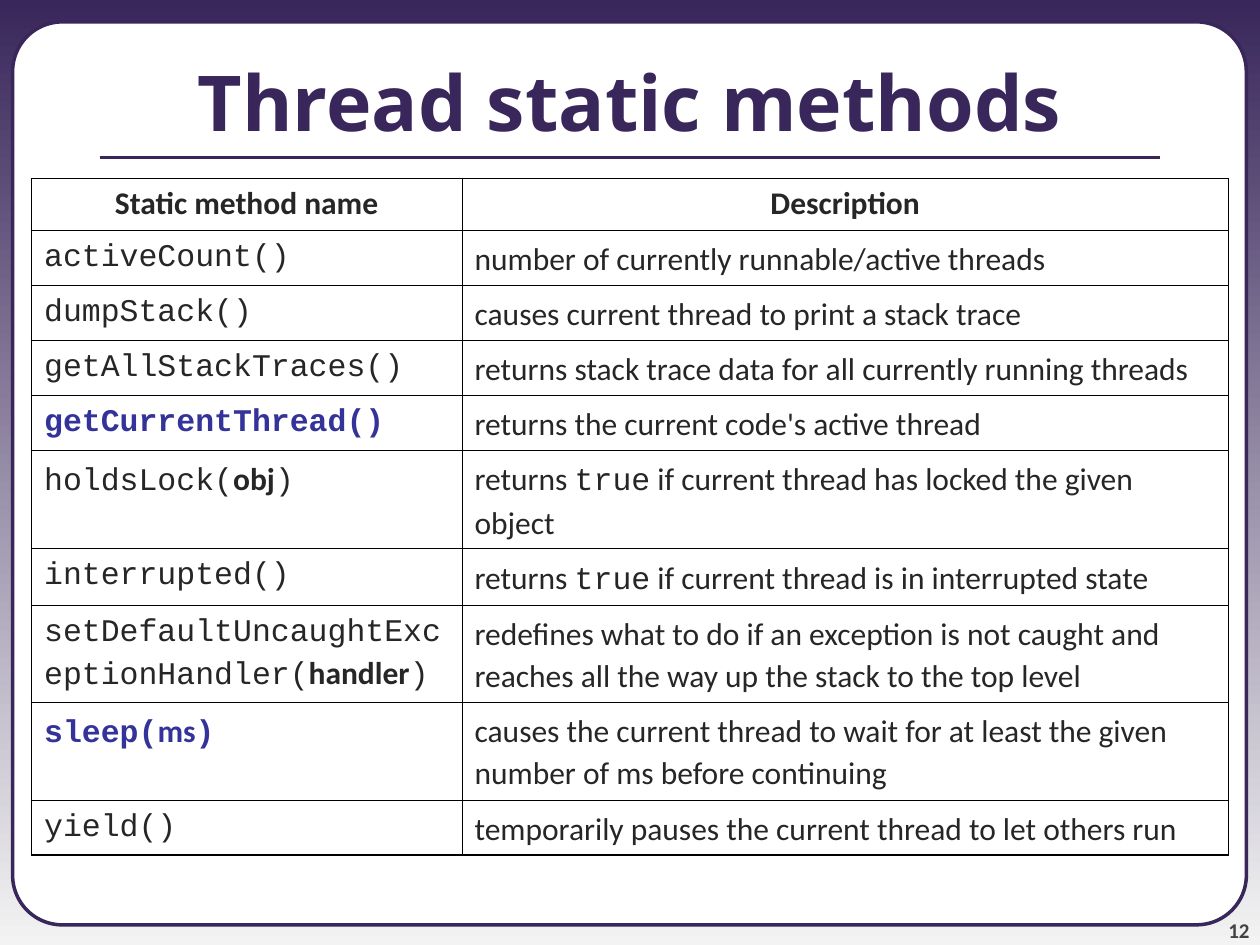
from itertools import cycle

from lxml import etree
from pptx import Presentation
from pptx.dml.color import RGBColor
from pptx.enum import shapes, text
from pptx.oxml.ns import qn
from pptx.util import Pt

TITLE = "Thread static methods"
PAGE_NUMBER = "12"
HEADINGS = ("Static method name", "Description")

# A bar switches between a column's main style and its inline style.
METHODS = [
    ("activeCount()", "number of currently runnable/active threads"),
    ("dumpStack()", "causes current thread to print a stack trace"),
    ("getAllStackTraces()", "returns stack trace data for all currently running threads"),
    ("getCurrentThread()", "returns the current code's active thread"),
    ("holdsLock(|obj|)", "returns |true| if current thread has locked the given object"),
    ("interrupted()", "returns |true| if current thread is in interrupted state"),
    ("setDefaultUncaughtExceptionHandler(|handler|)",
     "redefines what to do if an exception is not caught and "
     "reaches all the way up the stack to the top level"),
    ("sleep(|ms|)",
     "causes the current thread to wait for at least the given "
     "number of ms before continuing"),
    ("yield()", "temporarily pauses the current thread to let others run"),
]
KEY_METHODS = {"getCurrentThread()", "sleep(|ms|)"}
COLUMN_WIDTHS = (246, 438)
ROW_HEIGHTS = (29.5, 31.5, 31.5, 31.5, 31.5, 56, 32, 55.8, 55.8, 31.5)

THEME = {
    "purple": "39275B", "pale": "F3F3F3", "white": "FFFFFF", "black": "000000",
    "ink": "262626", "key": "333399", "number": "424242",
    "title_font": "Open Sans", "body_font": "Calibri", "code_font": "Courier New",
    "title_size": 44, "body_size": 18, "number_size": 12,
    "outer_border": 1.08, "inner_border": 0.45,
}
# (font, bold) of the main and the inline style in each column
CODE, PROSE = (THEME["code_font"], False), (THEME["body_font"], False)
PARAMETER = (THEME["body_font"], True)
COLUMN_STYLES = ((CODE, PARAMETER), (PROSE, CODE))


def color(name):
    return RGBColor.from_string(THEME[name])


def style_font(font, name, size, tint, bold):
    font.name, font.size, font.bold = name, Pt(size), bold
    font.color.rgb = color(tint)


def set_borders(cell, widths):
    """Draw the cell's borders; widths run left, right, top, bottom."""
    properties = cell._tc.get_or_add_tcPr()
    for side, width in zip("LRTB", widths):
        line = etree.SubElement(properties, qn(f"a:ln{side}"), w=str(Pt(width)))
        fill = etree.SubElement(line, qn("a:solidFill"))
        etree.SubElement(fill, qn("a:srgbClr"), val=THEME["black"])


def add_frame(page):
    fill = page.background.fill
    fill.gradient()
    fill.gradient_angle = 270
    for stop, tint in zip(fill.gradient_stops, ("purple", "pale")):
        stop.color.rgb = color(tint)

    panel = page.shapes.add_shape(
        shapes.MSO_SHAPE.ROUNDED_RECTANGLE, Pt(7.2), Pt(12.5), Pt(705), Pt(516))
    panel.adjustments[0] = 0.055
    panel.shadow.inherit = False
    panel.fill.solid()
    panel.fill.fore_color.rgb = color("white")
    panel.line.color.rgb = color("purple")
    panel.line.width = Pt(2)

    rule = page.shapes.add_connector(
        shapes.MSO_CONNECTOR.STRAIGHT, Pt(57), Pt(90), Pt(663), Pt(90))
    rule.line.color.rgb = color("purple")
    rule.line.width = Pt(2.25)
    etree.SubElement(rule._element.spPr, qn("a:effectLst"))

    box = page.shapes.add_textbox(Pt(654), Pt(510), Pt(60), Pt(28.5))
    frame = box.text_frame
    frame.word_wrap = True
    frame.margin_left = frame.margin_right = frame.margin_top = frame.margin_bottom = 0
    frame.vertical_anchor = text.MSO_ANCHOR.BOTTOM
    para = frame.paragraphs[0]
    para.text = PAGE_NUMBER
    para.alignment = text.PP_ALIGN.RIGHT
    style_font(para.font, THEME["body_font"], THEME["number_size"], "number", True)


def add_title(page):
    title = page.shapes.title
    title.left, title.top, title.width, title.height = Pt(0), Pt(12.5), Pt(720), Pt(90)
    frame = title.text_frame
    frame.text = TITLE
    frame.vertical_anchor = text.MSO_ANCHOR.MIDDLE
    para = frame.paragraphs[0]
    para.alignment = text.PP_ALIGN.CENTER
    style_font(para.font, THEME["title_font"], THEME["title_size"], "purple", True)
    # The title stands in front of the white panel.
    title.element.getparent().append(title.element)


def fill_heading(para, heading):
    para.text = heading
    para.alignment = text.PP_ALIGN.CENTER
    style_font(para.font, THEME["body_font"], THEME["body_size"], "ink", True)


def fill_entry(para, entry, styles):
    para.line_spacing = 1.1
    is_key = entry in KEY_METHODS
    for part, (name, bold) in zip(entry.split("|"), cycle(styles)):
        span = para.add_run()
        span.text = part
        style_font(span.font, name, THEME["body_size"],
                   "key" if is_key else "ink", bold or is_key)


def add_method_table(page):
    rows = [HEADINGS, *METHODS]
    last_row, last_column = len(rows) - 1, len(HEADINGS) - 1
    table = page.shapes.add_table(
        len(rows), len(HEADINGS), Pt(18), Pt(102),
        Pt(sum(COLUMN_WIDTHS)), Pt(sum(ROW_HEIGHTS))).table
    table.first_row = table.horz_banding = False
    for column, width in zip(table.columns, COLUMN_WIDTHS):
        column.width = Pt(width)

    for r, (entries, height) in enumerate(zip(rows, ROW_HEIGHTS)):
        table.rows[r].height = Pt(height)
        for c, entry in enumerate(entries):
            cell = table.cell(r, c)
            on_edge = (c == 0, c == last_column, r == 0, r == last_row)
            set_borders(cell, [THEME["outer_border" if edge else "inner_border"]
                               for edge in on_edge])
            cell.fill.background()
            para = cell.text_frame.paragraphs[0]
            para.space_before = Pt(4.5)
            if r == 0:
                fill_heading(para, entry)
            else:
                fill_entry(para, entry, COLUMN_STYLES[c])


def main():
    deck = Presentation()
    deck.slide_width, deck.slide_height = Pt(720), Pt(540)
    page = deck.slides.add_slide(deck.slide_layouts[5])
    add_frame(page)
    add_title(page)
    add_method_table(page)
    deck.save("out.pptx")


if __name__ == "__main__":
    main()
